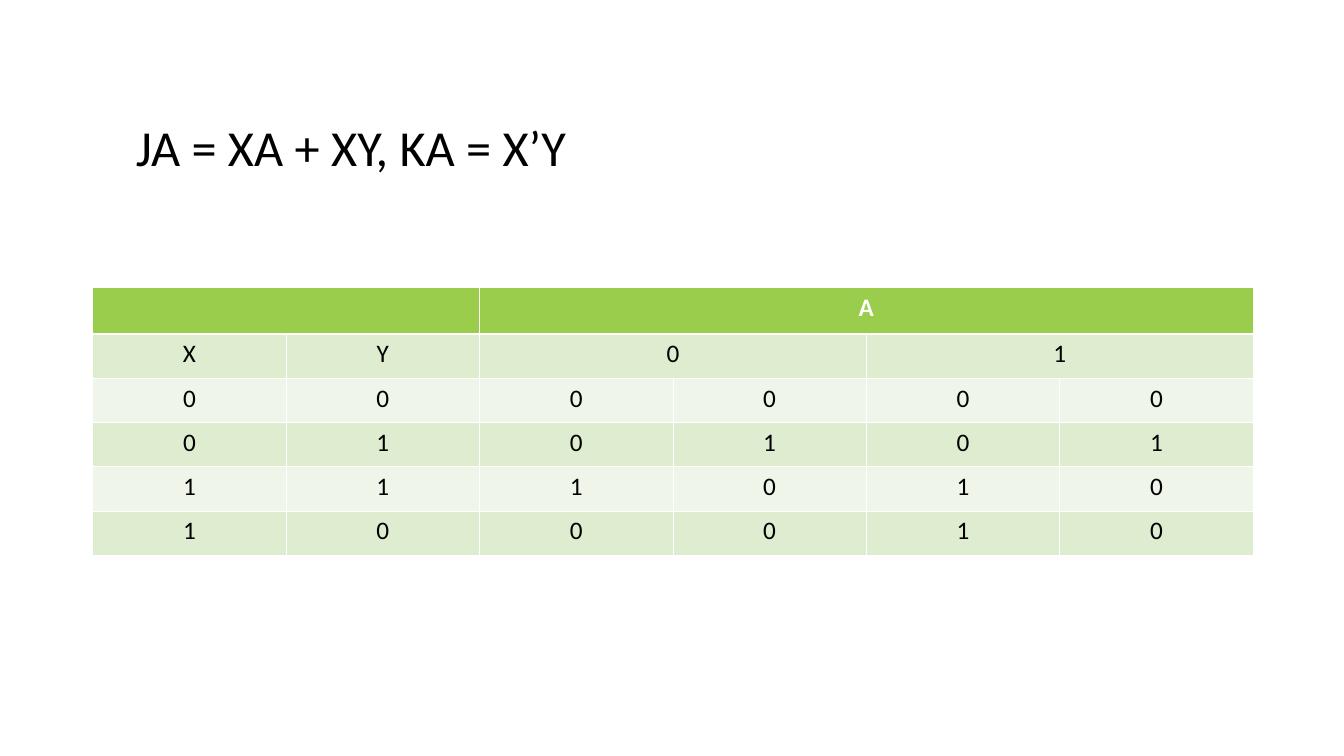
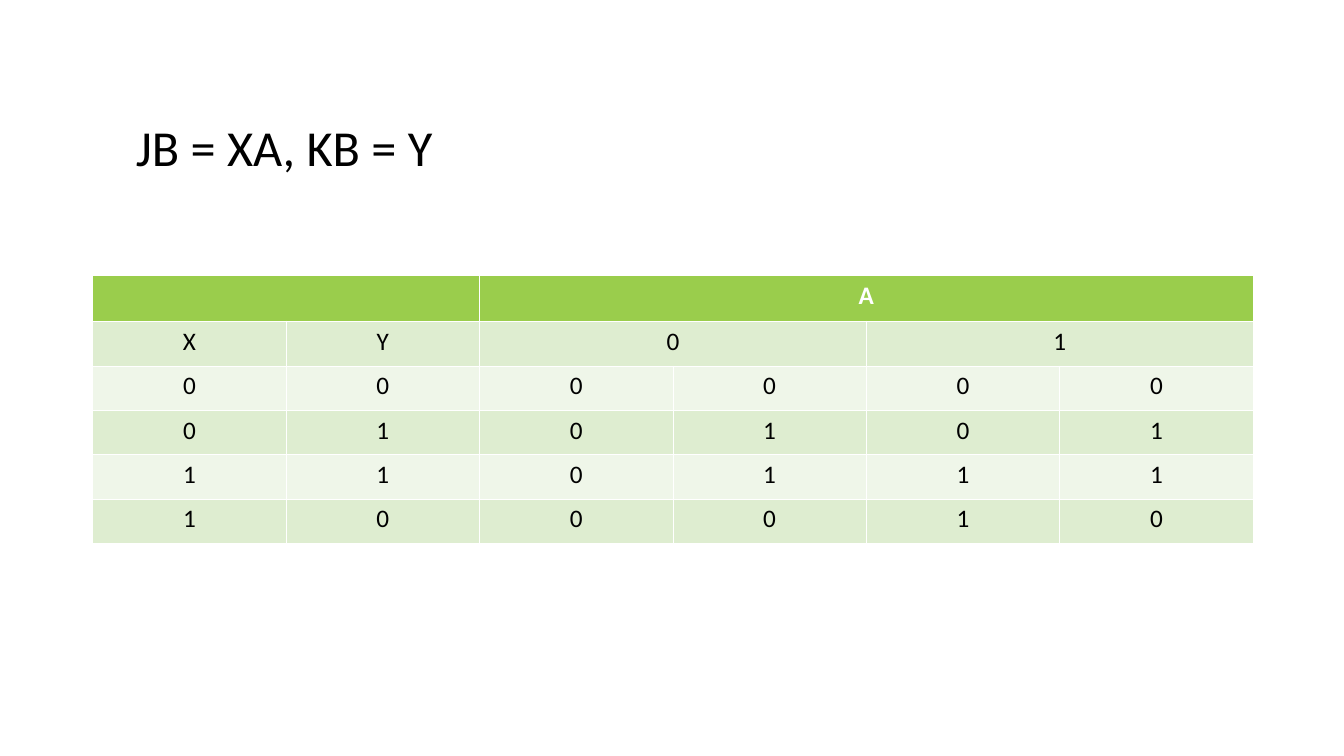
"""Build two slides of flip-flop input equations with their truth tables."""
import pptx
import pptx.dml.color
import pptx.enum.text
import pptx.oxml.ns
import pptx.util
from lxml import etree

Inches = pptx.util.Inches
Pt = pptx.util.Pt
RGBColor = pptx.dml.color.RGBColor

BLACK = RGBColor(0x00, 0x00, 0x00)
WHITE = RGBColor(0xFF, 0xFF, 0xFF)
HEADER_GREEN = RGBColor(0x9A, 0xCD, 0x4C)
BAND_GREENS = (RGBColor(0xEF, 0xF6, 0xE9), RGBColor(0xDE, 0xED, 0xD0))

FONT = "Calibri"
TITLE_SIZE = Pt(36)
CELL_SIZE = Pt(18)
THIN_BORDER = Pt(0.45)
HEADER_BORDER = Pt(1.47)

TABLE_LEFT = Inches(0.92)
COLUMN_WIDTH = Inches(1.92)
HEADER_HEIGHT = Inches(0.46)
ROW_HEIGHT = Inches(0.44)

HEADINGS = (("", "", "A", "", "", ""), ("X", "Y", "0", "", "1", ""))
MERGES = ((0, 0, 1), (0, 2, 5), (1, 2, 3), (1, 4, 5))

SLIDES = (
    ("JA = XA + XY, KA = X’Y", Inches(2.85), ("000000", "010101", "111010", "100010")),
    ("JB = XA, KB = Y", Inches(2.73), ("000000", "010101", "110111", "100010")),
)


def style_font(font, size, color, bold=False):
    """Apply the deck's typeface with a size, colour and weight."""
    font.name = FONT
    font.size = size
    font.bold = bold
    font.color.rgb = color


def add_title(slide, text):
    """Add the equation that heads a slide."""
    box = slide.shapes.add_textbox(Inches(1.25), Inches(0.68), Inches(10.83), Inches(1.62))
    frame = box.text_frame
    frame.word_wrap = True
    frame.vertical_anchor = pptx.enum.text.MSO_ANCHOR.MIDDLE
    frame.text = text
    paragraph = frame.paragraphs[0]
    paragraph.line_spacing = 0.9
    style_font(paragraph.runs[0].font, TITLE_SIZE, BLACK)


def add_border(cell, side, width):
    """Draw one white border of a cell."""
    qn = pptx.oxml.ns.qn
    properties = cell._tc.get_or_add_tcPr()
    line = etree.SubElement(properties, qn(f"a:ln{side}"), w=str(width))
    fill = etree.SubElement(line, qn("a:solidFill"))
    etree.SubElement(fill, qn("a:srgbClr"), val=str(WHITE))


def style_cell(cell, row_index):
    """Give a cell the borders, fill and text style of its row."""
    is_header = row_index == 0
    top = HEADER_BORDER if row_index == 1 else THIN_BORDER
    bottom = HEADER_BORDER if is_header else THIN_BORDER
    for side, width in (("L", THIN_BORDER), ("R", THIN_BORDER), ("T", top), ("B", bottom)):
        add_border(cell, side, width)
    cell.fill.solid()
    cell.fill.fore_color.rgb = HEADER_GREEN if is_header else BAND_GREENS[row_index % 2]
    paragraph = cell.text_frame.paragraphs[0]
    paragraph.alignment = pptx.enum.text.PP_ALIGN.CENTER
    for run in paragraph.runs:
        style_font(run.font, CELL_SIZE, WHITE if is_header else BLACK, is_header)


def add_truth_table(slide, top, value_rows):
    """Add a truth table under its two heading rows."""
    rows = (*HEADINGS, *value_rows)
    column_count = len(HEADINGS[0])
    height = HEADER_HEIGHT + ROW_HEIGHT * (len(rows) - 1)
    table = slide.shapes.add_table(
        len(rows), column_count, TABLE_LEFT, top, COLUMN_WIDTH * column_count, height
    ).table
    table.first_row = False
    table.horz_banding = False
    for column in table.columns:
        column.width = COLUMN_WIDTH
    for row_index, values in enumerate(rows):
        table.rows[row_index].height = ROW_HEIGHT if row_index else HEADER_HEIGHT
        for column_index, value in enumerate(values):
            cell = table.cell(row_index, column_index)
            cell.text = value
            style_cell(cell, row_index)
    for row_index, first, last in MERGES:
        table.cell(row_index, first).merge(table.cell(row_index, last))


def main():
    """Build and save the presentation."""
    presentation = pptx.Presentation()
    presentation.slide_width = Inches(13.34)
    presentation.slide_height = Inches(7.5)
    for title, table_top, value_rows in SLIDES:
        slide = presentation.slides.add_slide(presentation.slide_layouts[6])
        add_title(slide, title)
        add_truth_table(slide, table_top, value_rows)
    presentation.save("out.pptx")


if __name__ == "__main__":
    main()
